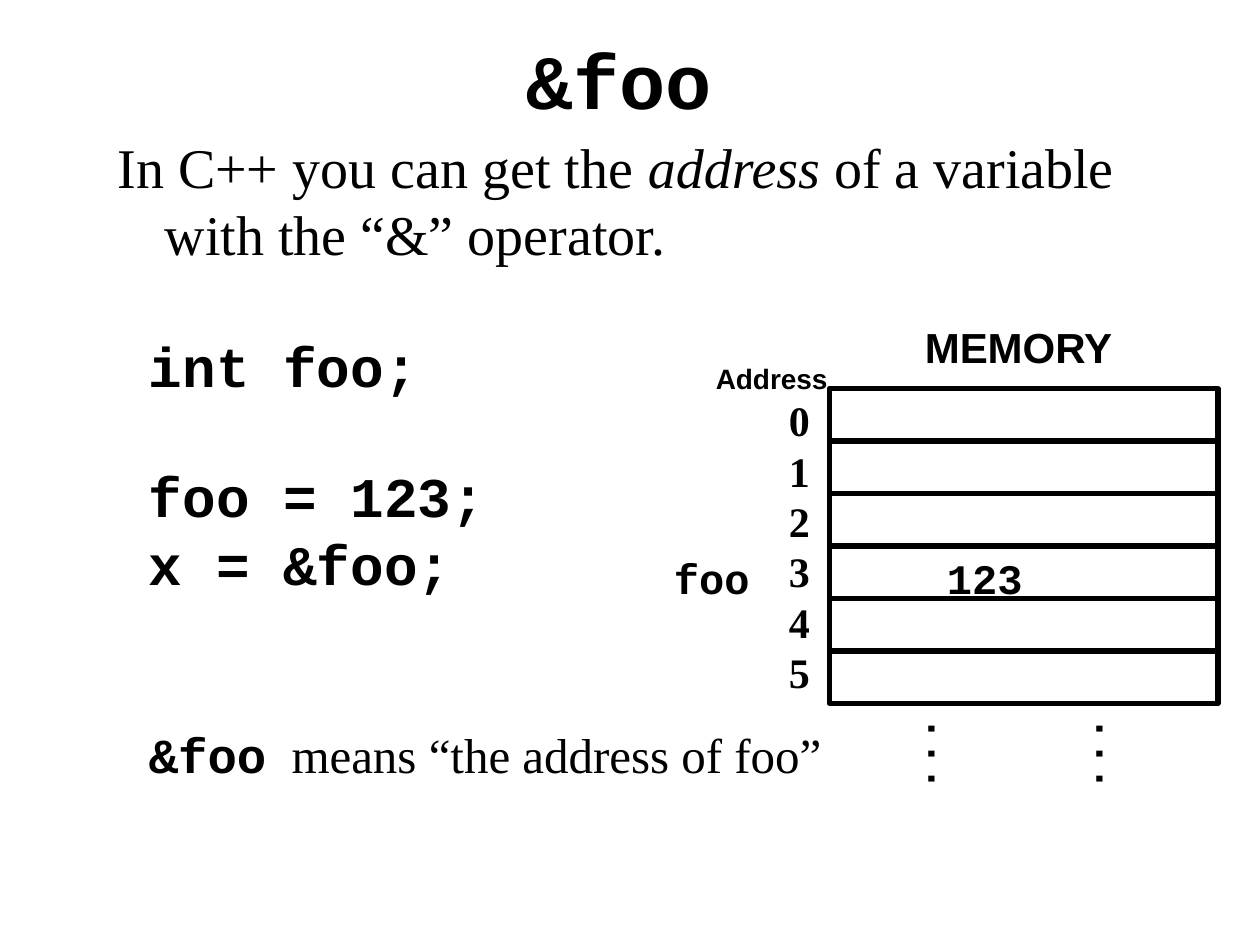
from pptx import Presentation
from pptx import util as u
from pptx.dml.color import RGBColor
from pptx.enum import shapes, text

PX = 7620
BLACK = RGBColor(0, 0, 0)
WHITE = RGBColor(255, 255, 255)
MONO, SANS, SERIF = "Courier New", "Arial", "Times New Roman"
LEFT, CENTER, RIGHT = text.PP_ALIGN.LEFT, text.PP_ALIGN.CENTER, text.PP_ALIGN.RIGHT
TOP, MIDDLE = text.MSO_ANCHOR.TOP, text.MSO_ANCHOR.MIDDLE


def emu(*lengths):
    return [u.Emu(n * PX) for n in lengths]


def style(r, font, size, bold=False, italic=False):
    r.font.name = font
    r.font.size = u.Pt(size)
    r.font.bold = bold
    r.font.italic = italic
    r.font.color.rgb = BLACK


def write(sp, lines, font, size, bold=True, align=LEFT, anchor=TOP):
    tf = sp.text_frame
    tf.word_wrap = True
    tf.vertical_anchor = anchor
    tf.text = "\n".join(lines)
    for p in tf.paragraphs:
        p.alignment = align
        for r in p.runs:
            style(r, font, size, bold)


def add_text(s, box, lines, font, size, **options):
    sp = s.shapes.add_textbox(*emu(*box))
    write(sp, lines, font, size, **options)
    return sp


def add_runs(s, box, runs):
    sp = s.shapes.add_textbox(*emu(*box))
    sp.text_frame.word_wrap = True
    p = sp.text_frame.paragraphs[0]
    for words, *look in runs:
        r = p.add_run()
        r.text = words
        style(r, *look)
    return p


def add_rect(s, box):
    sp = s.shapes.add_shape(shapes.MSO_SHAPE.RECTANGLE, *emu(*box))
    sp.shadow.inherit = False
    sp.fill.solid()
    sp.fill.fore_color.rgb = WHITE
    return sp


def add_title(s, box):
    sp = s.shapes.title
    sp.left, sp.top, sp.width, sp.height = emu(*box)
    write(sp, ["&foo"], MONO, 44, align=CENTER, anchor=MIDDLE)


def add_intro(s, box):
    p = add_runs(s, box, [
        ("In C++ you can get the ", SERIF, 32),
        ("address", SERIF, 32, False, True),
        (" of a variable with the “&” operator.", SERIF, 32),
    ])
    ppr = p._p.get_or_add_pPr()
    indent = 45 * PX
    ppr.set("marL", str(indent))
    ppr.set("indent", str(-indent))


def add_code(s, box):
    sp = add_text(s, box, ["int foo;", "foo = 123;", "x = &foo;"], MONO, 32)
    sp.text_frame.paragraphs[1].space_before = u.Pt(36)


def add_meaning(s, box):
    add_runs(s, box, [
        ("&foo", MONO, 28, True),
        (" ", MONO, 24, True),
        ("means “the address of foo”", SERIF, 28),
    ])


def add_memory(s, box, cells=6):
    x, y, w, h = box
    row = h // cells
    for i in range(cells):
        cell = add_rect(s, (x, y + i * row, w, row))
        cell.line.color.rgb = BLACK
        cell.line.width = u.Pt(3)
    for dx in (50, 210):
        dots = add_text(s, (x + dx, y + h + 18, 120, 60), ["..."], MONO, 24,
                        align=CENTER)
        dots.rotation = 90
    heading = add_rect(s, (x, y - 70, 360, 60))
    heading.line.fill.background()
    write(heading, ["MEMORY"], SANS, 24, align=CENTER, anchor=MIDDLE)
    add_text(s, (x - 70, y, 63, h), [str(i) for i in range(cells)],
             SERIF, 24, align=RIGHT)
    add_text(s, (x - 170, y - 40, 230, 60), ["Address"], SANS, 16,
             align=CENTER, anchor=MIDDLE)
    foo_y = y + 3 * row
    add_text(s, (x - 160, foo_y, 100, 60), ["foo"], MONO, 24)
    add_text(s, (x + 100, foo_y, 130, 60), ["123"], MONO, 24)


def main():
    prs = Presentation()
    prs.slide_width, prs.slide_height = emu(1200, 900)
    s = prs.slides.add_slide(prs.slide_layouts[5])
    add_title(s, (80, 40, 1020, 70))
    add_intro(s, (100, 120, 1060, 150))
    add_memory(s, (790, 370, 370, 300))
    add_meaning(s, (130, 684, 690, 125))
    add_code(s, (130, 310, 440, 269))
    prs.save("out.pptx")


if __name__ == "__main__":
    main()
